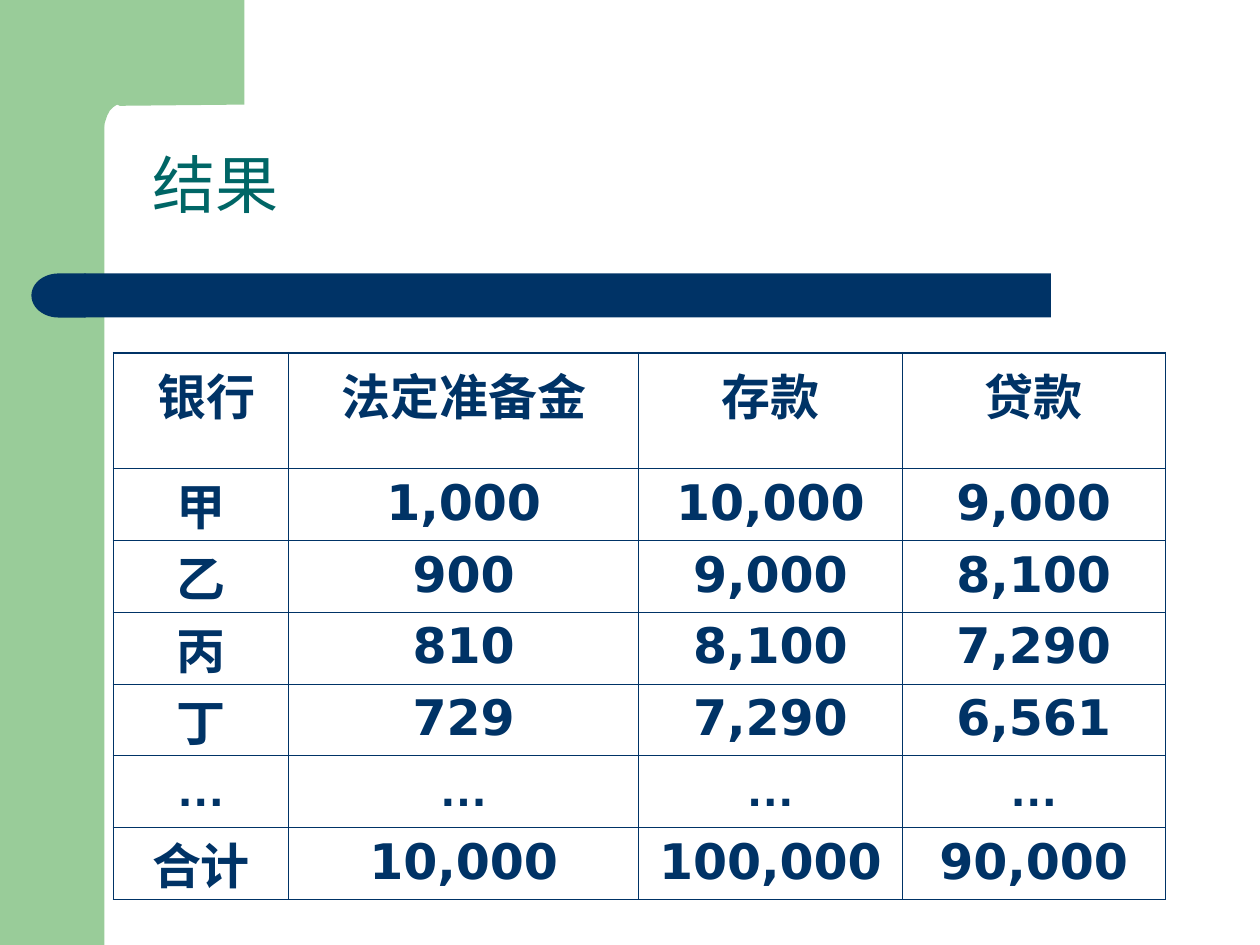
from lxml import etree
from pptx import Presentation
from pptx.dml.color import RGBColor
from pptx.enum.shapes import MSO_SHAPE
from pptx.enum.text import MSO_ANCHOR, MSO_AUTO_SIZE, PP_ALIGN
from pptx.oxml.ns import qn
from pptx.util import Inches, Pt

RECT, DELAY = MSO_SHAPE.RECTANGLE, MSO_SHAPE.FLOWCHART_DELAY
BOTTOM, FIXED = MSO_ANCHOR.BOTTOM, MSO_AUTO_SIZE.NONE
LEFT, CENTER = PP_ALIGN.LEFT, PP_ALIGN.CENTER

# Content
TITLE = "结果"
ROWS = [
    (" 银行", "法定准备金", "存款", "贷款"),
    ("甲", "1,000", "10,000", "9,000"),
    ("乙", "900", "9,000", "8,100"),
    ("丙", "810", "8,100", "7,290"),
    ("丁", "729", "7,290", "6,561"),
    ("…", "…", "…", "…"),
    ("合计", "10,000", "100,000", "90,000"),
]
WIDTHS = (1.39, 2.78, 2.09, 2.09)
HEAD, BODY = 0.92, 0.57
# Outline of the corner, in hundredths of an inch
CORNER = [
    (194, 0), (194, 83), (95, 84), (93, 83), (90, 85), (87, 88), (85, 92),
    (83, 98), (82, 104), (81, 110), (81, 128), (67, 128), (67, 0),
]

THEME = {
    "green": "99CC99", "navy": "003366", "teal": "006666",
    "title": 36, "cell": 28, "outer": 1.08, "inner": 0.45,
    "font": "Arial", "table": "DejaVu Sans",
}


def color(name):
    return RGBColor.from_string(THEME[name])


def paint(shape, name):
    shape.shadow.inherit = False
    shape.fill.solid()
    shape.fill.fore_color.rgb = color(name)
    shape.line.fill.background()
    return shape


def block(slide, kind, box, name):
    return paint(slide.shapes.add_shape(kind, *map(Inches, box)), name)


def style(font, name, size, tint, bold=False):
    font.name, font.size, font.bold = name, Pt(THEME[size]), bold
    font.color.rgb = color(tint)


def edge(cell, side, width):
    line = etree.SubElement(cell._tc.get_or_add_tcPr(), qn("a:" + side),
                            w=str(int(Pt(width))))
    fill = etree.SubElement(line, qn("a:solidFill"))
    etree.SubElement(fill, qn("a:srgbClr"), val=THEME["navy"])


def add_decor(slide):
    # Green side band with its rounded inner corner
    block(slide, RECT, (0, 0, 0.83, 7.5), "green")
    build = slide.shapes.build_freeform(*CORNER[0], scale=Inches(0.01))
    build.add_line_segments(CORNER[1:], close=True)
    paint(build.convert_to_shape(), "green")
    # Navy bar with a round left end
    block(slide, RECT, (0.67, 2.17, 7.67, 0.35), "navy")
    cap = block(slide, DELAY, (0.25, 2.17, 0.43, 0.35), "navy")
    cap._element.spPr.xfrm.set("flipH", "1")


def add_title(slide):
    title = slide.shapes.title
    title.left, title.top = Inches(1.11), Inches(1.19)
    title.width, title.height = Inches(8.1), Inches(0.62)
    frame = title.text_frame
    frame.text = TITLE
    frame.auto_size, frame.vertical_anchor = FIXED, BOTTOM
    para = frame.paragraphs[0]
    para.alignment, para.line_spacing = LEFT, 0.9
    style(para.runs[0].font, THEME["font"], "title", "teal")


def add_grid(slide):
    heights = [HEAD] + [BODY] * (len(ROWS) - 1)
    box = (0.9, 2.8, sum(WIDTHS), sum(heights))
    table = slide.shapes.add_table(len(ROWS), len(WIDTHS),
                                   *map(Inches, box)).table
    table.first_row = table.horz_banding = False
    for col, width in zip(table.columns, WIDTHS):
        col.width = Inches(width)
    for row, height in zip(table.rows, heights):
        row.height = Inches(height)
    last, end = len(ROWS) - 1, len(WIDTHS) - 1
    for r, texts in enumerate(ROWS):
        for c, text in enumerate(texts):
            cell = table.cell(r, c)
            cell.text = text
            para = cell.text_frame.paragraphs[0]
            para.alignment = CENTER
            face = THEME["font" if text == "…" else "table"]
            style(para.runs[0].font, face, "cell", "navy", True)
            # Tall Chinese glyphs are tightened to keep the row height
            if r and not c and text != "…":
                para.line_spacing = 0.9
                cell.margin_bottom = 0
            # Heavier lines around the outside; borders precede the fill
            for side, outside in (("lnL", c == 0), ("lnR", c == end),
                                  ("lnT", r == 0), ("lnB", r == last)):
                edge(cell, side, THEME["outer" if outside else "inner"])
            cell.fill.background()


def main():
    deck = Presentation()
    deck.slide_width, deck.slide_height = Inches(10), Inches(7.5)
    slide = deck.slides.add_slide(deck.slide_layouts[5])
    add_decor(slide)
    add_title(slide)
    add_grid(slide)
    deck.save("out.pptx")


if __name__ == "__main__":
    main()
